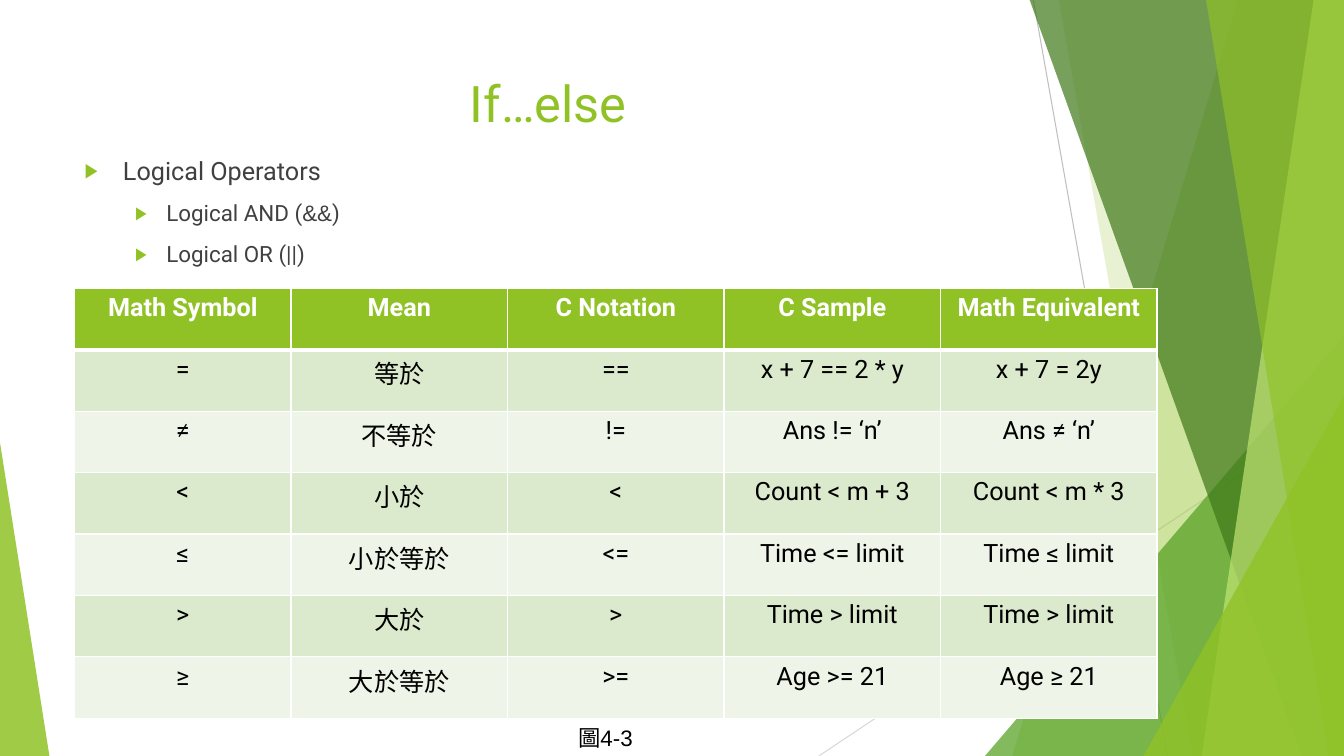
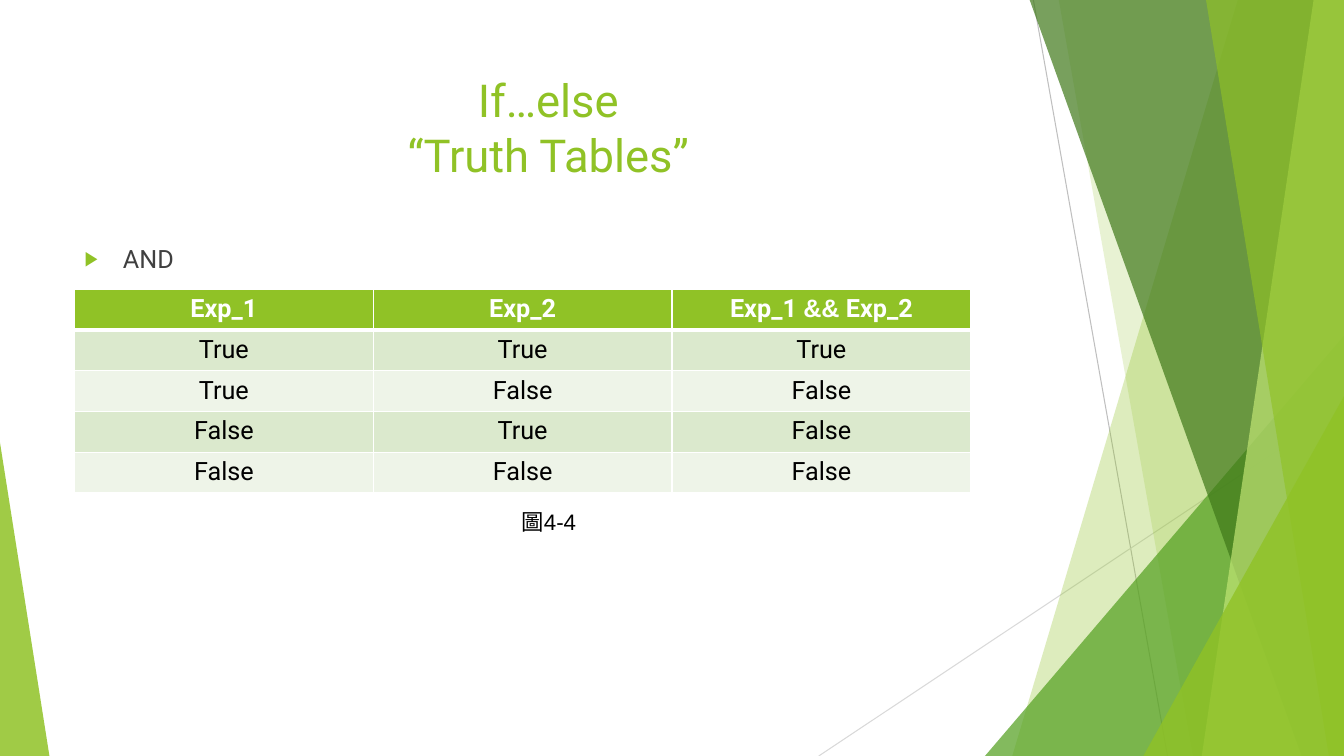
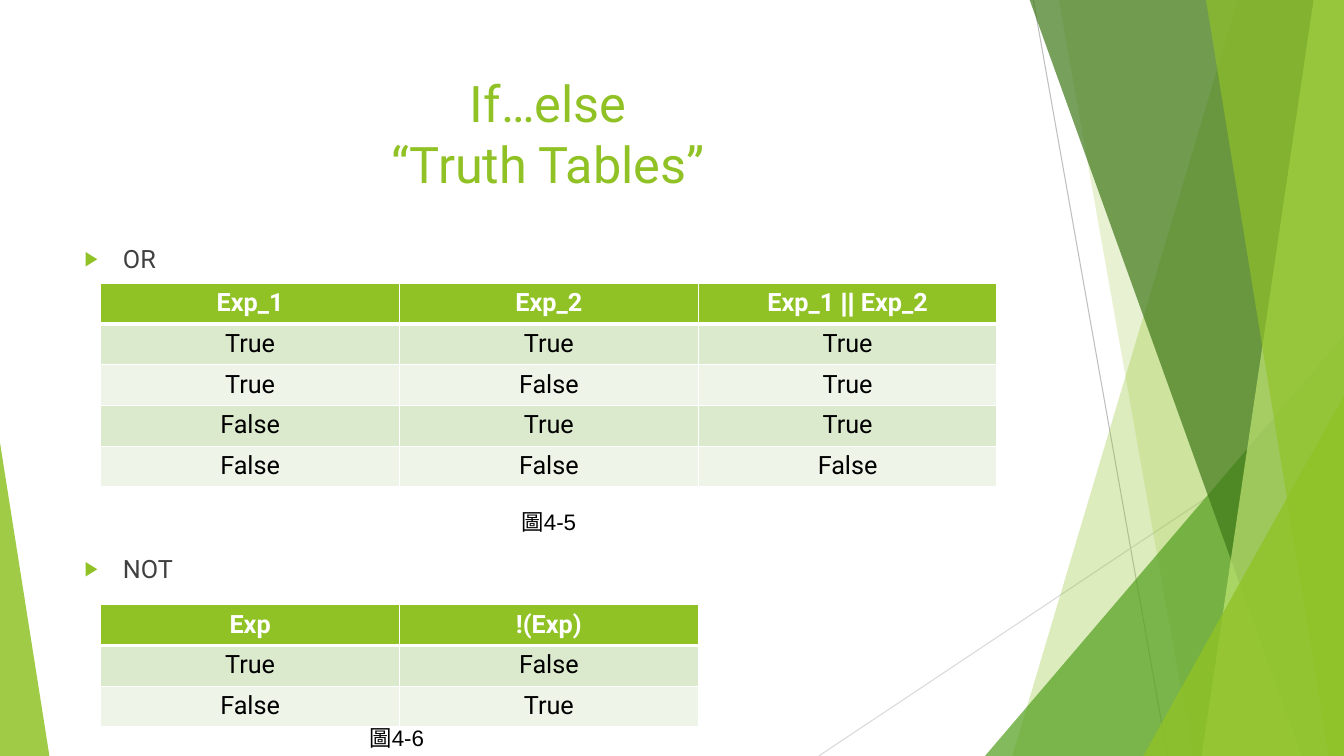
from dataclasses import dataclass

from lxml.etree import SubElement
from pptx import Presentation
from pptx.dml.color import RGBColor
from pptx.enum.shapes import MSO_CONNECTOR, MSO_SHAPE
from pptx.enum.text import MSO_ANCHOR, MSO_AUTO_SIZE, PP_ALIGN
from pptx.oxml.ns import qn
from pptx.util import Inches, Pt


# Theme: colours, fonts and type sizes
@dataclass(frozen=True)
class Theme:
    green: str = "90C226"
    leaf: str = "54A021"
    forest: str = "3F7819"
    lime: str = "C0E474"
    band_dark: str = "DBE9CD"
    band_light: str = "EEF4E8"
    grey: str = "404040"
    white: str = "FFFFFF"
    black: str = "000000"
    font: str = "Roboto"
    plain_font: str = "Arial"
    title: float = 36
    small_title: float = 32.4
    body: float = 18
    detail: float = 16


T = Theme()
WIDTH, HEIGHT = Inches(13.33), Inches(7.5)
MARGIN, CONTENT_WIDTH = 5.55, 70.5
TRUTH_COLUMN, TRUTH_ROW = 22.23, 5.39
CAPTION_WIDTH, CAPTION_HEIGHT = 22.28, 4.93


# Grid: 100 columns by 100 rows
def col(n):
    return round(WIDTH * n / 100)


def row(n):
    return round(HEIGHT * n / 100)


def box(x, y, w, h):
    return col(x), row(y), col(w), row(h)


def place(sp, *cells):
    sp.left, sp.top, sp.width, sp.height = box(*cells)


# Text
def write(p, text, size=T.body, color=T.black, font=T.font, bold=False, align=None):
    """Fill a paragraph; text is a string or a list of strings and (string, font) pairs."""
    p.alignment = align
    for part in [text] if isinstance(text, str) else text:
        words, face = (part, font) if isinstance(part, str) else part
        for i, line in enumerate(words.split("\n")):
            if i:
                p.add_line_break()
            r = p.add_run()
            r.text = line
            r.font.size, r.font.bold, r.font.name = Pt(size), bold, face
            r.font.color.rgb = RGBColor.from_string(color)


def add_bullet(p, margin, hanging):
    pPr = p._p.get_or_add_pPr()
    pPr.set("marL", str(Inches(margin)))
    pPr.set("indent", str(-Inches(hanging)))
    SubElement(SubElement(pPr, qn("a:buClr")), qn("a:srgbClr"), val=T.green)
    SubElement(pPr, qn("a:buSzPct"), val="80000")
    SubElement(pPr, qn("a:buFont"), typeface=T.plain_font)
    SubElement(pPr, qn("a:buChar"), char="▶")


def set_title(slide, text, size=T.title):
    tf = slide.shapes.title.text_frame
    tf.vertical_anchor, tf.auto_size = MSO_ANCHOR.TOP, MSO_AUTO_SIZE.NONE
    write(tf.paragraphs[0], text, size=size, color=T.green, align=PP_ALIGN.CENTER)


def set_list(slide, top, height, items):
    """Fill the body with (text, level, space before) items."""
    sp = slide.placeholders[1]
    place(sp, MARGIN, top, CONTENT_WIDTH, height)
    tf = sp.text_frame
    tf.auto_size = MSO_AUTO_SIZE.NONE
    for i, (text, level, space) in enumerate(items):
        p = tf.add_paragraph() if i else tf.paragraphs[0]
        p.level, p.space_before = level, Pt(space)
        add_bullet(p, *((0.81, 0.31) if level else (0.38, 0.38)))
        write(p, text, size=T.detail if level else T.body, color=T.grey)


def add_caption(slide, x, y, text):
    tf = slide.shapes.add_textbox(*box(x, y, CAPTION_WIDTH, CAPTION_HEIGHT)).text_frame
    tf.word_wrap = True
    write(tf.paragraphs[0], text, size=T.detail, font=T.plain_font, align=PP_ALIGN.CENTER)


# Tables
def set_borders(cell, top, bottom):
    tcPr = cell._tc.get_or_add_tcPr()
    for i, (side, width) in enumerate(zip("LRTB", (1, 1, top, bottom))):
        ln = SubElement(tcPr, qn(f"a:ln{side}"), w=str(Pt(width)))
        SubElement(SubElement(ln, qn("a:solidFill")), qn("a:srgbClr"), val=T.white)
        tcPr.insert(i, ln)


def add_grid(slide, x, y, rows, col_width=TRUTH_COLUMN, row_height=TRUTH_ROW):
    n_rows, n_cols = len(rows), len(rows[0])
    frame = slide.shapes.add_table(
        n_rows, n_cols, *box(x, y, n_cols * col_width, n_rows * row_height))
    table = frame.table
    table.horz_banding = False
    for i, values in enumerate(rows):
        header = i == 0
        fill = T.green if header else (T.band_light, T.band_dark)[i % 2]
        for j, text in enumerate(values):
            cell = table.cell(i, j)
            cell.fill.solid()
            cell.fill.fore_color.rgb = RGBColor.from_string(fill)
            set_borders(cell, top=3 if i == 1 else 1, bottom=3 if header else 1)
            write(cell.text_frame.paragraphs[0], text, bold=header,
                  color=T.white if header else T.black, align=PP_ALIGN.CENTER)


# Shared background
def paint(sp, color, opacity):
    sp.shadow.inherit = False
    sp.line.fill.background()
    sp.fill.solid()
    sp.fill.fore_color.rgb = RGBColor.from_string(color)
    rgb = sp.element.spPr.find(".//" + qn("a:srgbClr"))
    SubElement(rgb, qn("a:alpha"), val=str(opacity * 1000))


def add_ray(shapes, x1, y1, x2, y2, color):
    line = shapes.add_connector(
        MSO_CONNECTOR.STRAIGHT, col(x1), row(y1), col(x2), row(y2))
    line.line.color.rgb = RGBColor.from_string(color)
    line.line.width = Pt(0.75)
    SubElement(line.element.spPr, qn("a:effectLst"))


def add_panel(shapes, top_x, bottom_x, color, opacity):
    """Add a panel from a slanted left edge to the right side of the slide."""
    top = row(-0.13)
    outline = shapes.build_freeform(col(top_x), top)
    outline.add_line_segments(
        [(WIDTH, top), (WIDTH, HEIGHT), (col(bottom_x), HEIGHT)], close=True)
    paint(outline.convert_to_shape(), color, opacity)


def add_peak(shapes, x, y, width, apex, color, opacity):
    """Add a triangle that stands on the bottom of the slide."""
    sp = shapes.add_shape(MSO_SHAPE.ISOSCELES_TRIANGLE, *box(x, y, width, 100 - y))
    sp.adjustments[0] = apex
    paint(sp, color, opacity)


def add_background(slide, layout):
    """Draw the facets as one group and hand it to the layout."""
    group = slide.shapes.add_group_shape()
    shapes = group.shapes
    add_ray(shapes, 76.89, 0, 86.87, 100, "BFBFBF")
    add_ray(shapes, 100, 53.73, 60.92, 100, "D9D9D9")
    add_panel(shapes, 92.12, 75.32, T.green, 30)
    add_panel(shapes, 78.77, 88.75, T.green, 20)
    add_peak(shapes, 73.29, 44.4, 26.71, 1, T.leaf, 72)
    add_panel(shapes, 76.59, 96.85, T.forest, 70)
    add_panel(shapes, 97.75, 89.42, T.lime, 70)
    add_panel(shapes, 89.72, 98.87, T.green, 65)
    add_peak(shapes, 85.07, 52.4, 14.93, 1, T.green, 80)
    add_peak(shapes, 0, 58.53, 3.68, 0, T.green, 85)
    layout.shapes.element.insert(2, group.element)


def prepare_layout(layout):
    for sp in list(layout.placeholders):
        if sp.placeholder_format.idx >= 10:
            sp.element.getparent().remove(sp.element)
        elif sp.placeholder_format.idx == 0:
            place(sp, MARGIN, 8.93, CONTENT_WIDTH, 19.2)


# Slides
def fill_operators(slide):
    set_title(slide, "If…else")
    set_list(slide, 19.87, 68.13, [
        ("Logical Operators", 0, 10),
        (["Logical AND (", ("&&", T.plain_font), ")"], 1, 10),
        ("Logical OR (||)", 1, 10),
    ])
    add_grid(slide, MARGIN, 38.13, [
        ("Math Symbol", "Mean", "C Notation", "C Sample", "Math Equivalent"),
        ("=", "等於", "==", "x + 7 == 2 * y", "x + 7 = 2y"),
        ("≠", "不等於", "!=", "Ans != ‘n’", "Ans ≠ ‘n’"),
        ("<", "小於", "<", "Count < m + 3", "Count < m * 3"),
        ("≤", "小於等於", "<=", "Time <= limit", "Time ≤ limit"),
        (">", "大於", ">", "Time > limit", "Time > limit"),
        ("≥", "大於等於", ">=", "Age >= 21", "Age ≥ 21"),
    ], col_width=16.11, row_height=8.13)
    add_caption(slide, 33.91, 95.07, "圖4-3")


def add_truth_table(slide, x, y, operator, combine):
    rows = [("Exp_1", "Exp_2", ["Exp_1 ", (operator, T.plain_font), " Exp_2"])]
    rows += [(str(a), str(b), str(combine((a, b))))
             for a in (True, False) for b in (True, False)]
    add_grid(slide, x, y, rows)


def fill_and(slide):
    set_title(slide, "If…else\n“Truth Tables”", size=T.small_title)
    set_list(slide, 31.47, 56.53, [("AND", 0, 10)])
    add_truth_table(slide, MARGIN, 38.27, "&&", all)
    add_caption(slide, 29.7, 66.53, "圖4-4")


def fill_or_not(slide):
    set_title(slide, "If…else\n“Truth Tables”")
    set_list(slide, 31.47, 56.53, [("OR", 0, 10), ("NOT", 0, 200)])
    add_truth_table(slide, 7.5, 37.47, "||", any)
    add_caption(slide, 29.7, 66.53, "圖4-5")
    add_grid(slide, 7.5, 80, [("Exp", "!(Exp)"), ("True", "False"), ("False", "True")])
    add_caption(slide, 18.38, 95.07, "圖4-6")


def main():
    prs = Presentation()
    prs.slide_width, prs.slide_height = WIDTH, HEIGHT
    layout = prs.slide_layouts[1]
    prepare_layout(layout)
    slides = [prs.slides.add_slide(layout) for _ in range(3)]
    add_background(slides[0], layout)
    for slide, fill in zip(slides, (fill_operators, fill_and, fill_or_not)):
        fill(slide)
    prs.save("out.pptx")


if __name__ == "__main__":
    main()
